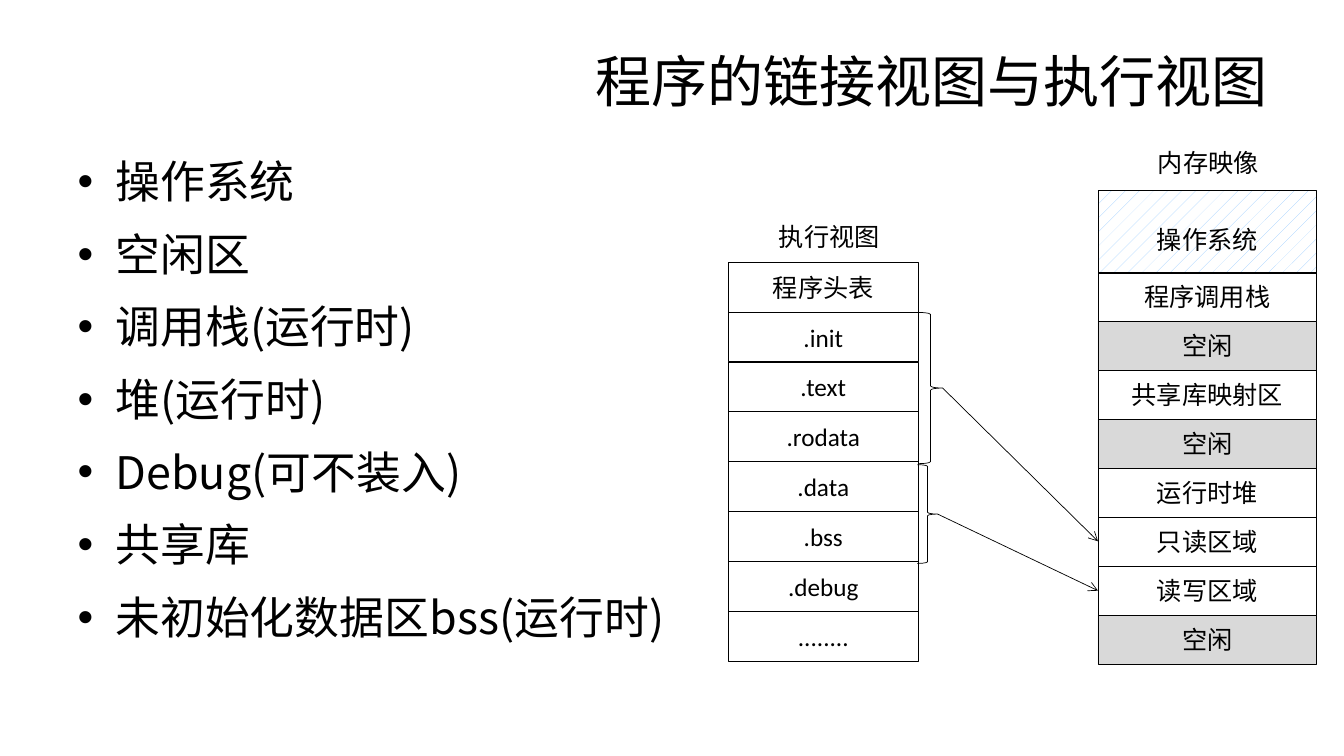
from dataclasses import dataclass

from lxml import etree
from pptx import Presentation
from pptx.dml.color import RGBColor
from pptx.enum.dml import MSO_PATTERN
from pptx.enum.shapes import MSO_CONNECTOR, MSO_SHAPE
from pptx.enum.text import MSO_ANCHOR, MSO_AUTO_SIZE, PP_ALIGN
from pptx.oxml.ns import qn
from pptx.util import Inches, Pt

RECT, BRACE = MSO_SHAPE.RECTANGLE, MSO_SHAPE.RIGHT_BRACE
STRAIGHT = MSO_CONNECTOR.STRAIGHT
CENTER, RIGHT = PP_ALIGN.CENTER, PP_ALIGN.RIGHT
TOP, MIDDLE = MSO_ANCHOR.TOP, MSO_ANCHOR.MIDDLE
FIT = MSO_AUTO_SIZE.TEXT_TO_FIT_SHAPE
DOTS = MSO_PATTERN.PERCENT_5

BLACK, GREY = "000000", "D9D9D9"
CJK, LATIN = "Noto Sans CJK SC", "Calibri"
FREE = "空闲"


@dataclass
class Stack:
    """A column of equally high cells between top and bottom."""
    left: float
    top: float
    width: float
    bottom: float
    labels: list[str]

    @property
    def step(self) -> float:
        return (self.bottom - self.top) / len(self.labels)


@dataclass
class Segment:
    """A brace around sections and the arrow from its tip to memory."""
    left: float
    top: float
    width: float
    height: float
    target_y: float


EXECUTION = Stack(7.22, 2.6, 1.89, 6.56, [
    "程序头表", ".init", ".text", ".rodata", ".data", ".bss", ".debug", "........"])
MEMORY = Stack(10.89, 2.7, 2.17, 6.59, [
    "程序调用栈", FREE, "共享库映射区", FREE, "运行时堆", "只读区域", "读写区域", FREE])
SEGMENTS = [Segment(9.11, 3.1, 0.24, 1.5, 5.37), Segment(9.1, 4.61, 0.2, 0.98, 5.86)]
BULLETS = ["操作系统", "空闲区", "调用栈(运行时)", "堆(运行时)",
           "Debug(可不装入)", "共享库", "未初始化数据区bss(运行时)"]


def rgb(color: str) -> RGBColor:
    return RGBColor.from_string(color)


def place(sp, left: float, top: float, width: float, height: float) -> None:
    sp.left, sp.top = Inches(left), Inches(top)
    sp.width, sp.height = Inches(width), Inches(height)


def format_runs(p, size: float, font: str) -> None:
    for r in p.runs:
        r.font.size, r.font.name = Pt(size), font
        r.font.color.rgb = rgb(BLACK)


def set_label(sp, text: str, font: str) -> None:
    tf = sp.text_frame
    tf.text = text
    tf.word_wrap = True
    tf.vertical_anchor = MIDDLE
    tf.margin_left = tf.margin_right = tf.margin_top = tf.margin_bottom = 0
    p = tf.paragraphs[0]
    p.alignment = CENTER
    format_runs(p, 18, font)


def add_outline(slide, kind, left: float, top: float, width: float, height: float):
    sp = slide.shapes.add_shape(
        kind, Inches(left), Inches(top), Inches(width), Inches(height))
    sp.shadow.inherit = False
    sp.fill.background()
    sp.line.color.rgb = rgb(BLACK)
    sp.line.width = Pt(0.5)
    return sp


def add_stack(slide, stack: Stack) -> None:
    for i, label in enumerate(stack.labels):
        sp = add_outline(slide, RECT, stack.left, stack.top + i * stack.step,
                         stack.width, stack.step)
        if label == FREE:
            sp.fill.solid()
            sp.fill.fore_color.rgb = rgb(GREY)
        set_label(sp, label, LATIN)


def add_system_area(slide) -> None:
    sp = add_outline(slide, RECT, MEMORY.left, 1.89, MEMORY.width, 0.82)
    sp.fill.patterned()
    sp.fill.pattern = DOTS
    sp.fill.fore_color.rgb = rgb("99CCFF")
    sp.fill.back_color.rgb = rgb("FFFFFF")
    set_label(sp, "操作系统", LATIN)
    sp.text_frame.paragraphs[0].line_spacing = 1.5


def add_segment(slide, seg: Segment) -> None:
    add_outline(slide, BRACE, seg.left, seg.top, seg.width, seg.height)
    arrow = slide.shapes.add_connector(
        STRAIGHT, Inches(seg.left + seg.width), Inches(seg.top + seg.height / 2),
        Inches(MEMORY.left), Inches(seg.target_y))
    arrow.line.color.rgb = rgb(BLACK)
    arrow.line.width = Pt(0.5)
    etree.SubElement(arrow.line._get_or_add_ln(), qn("a:tailEnd"), type="arrow")
    etree.SubElement(arrow._element.spPr, qn("a:effectLst"))


def add_caption(slide, text: str, left: float, top: float) -> None:
    sp = slide.shapes.add_textbox(Inches(left), Inches(top), Inches(2.03), Inches(0.5))
    set_label(sp, text, CJK)


def fill_title(title) -> None:
    place(title, 0.67, 0.3, 12, 0.99)
    tf = title.text_frame
    tf.text = "程序的链接视图与执行视图"
    tf.vertical_anchor = MIDDLE
    p = tf.paragraphs[0]
    p.alignment = RIGHT
    format_runs(p, 40, "Arial")


def fill_body(body) -> None:
    place(body, 0.67, 1.29, 6.37, 5.7)
    tf = body.text_frame
    tf.text = "\n".join(BULLETS)
    tf.vertical_anchor = TOP
    tf.auto_size = FIT
    for p in tf.paragraphs:
        p.line_spacing = 1.5
        p.space_before = Pt(0)
        format_runs(p, 32, CJK)


def main() -> None:
    prs = Presentation()
    prs.slide_width, prs.slide_height = Inches(13.33), Inches(7.5)
    slide = prs.slides.add_slide(prs.slide_layouts[1])
    fill_title(slide.shapes.title)
    fill_body(slide.placeholders[1])
    add_stack(slide, EXECUTION)
    add_system_area(slide)
    add_stack(slide, MEMORY)
    for seg in SEGMENTS:
        add_segment(slide, seg)
    add_caption(slide, "执行视图", 7.21, 2.1)
    add_caption(slide, "内存映像", 10.97, 1.36)
    prs.save("out.pptx")


if __name__ == "__main__":
    main()
